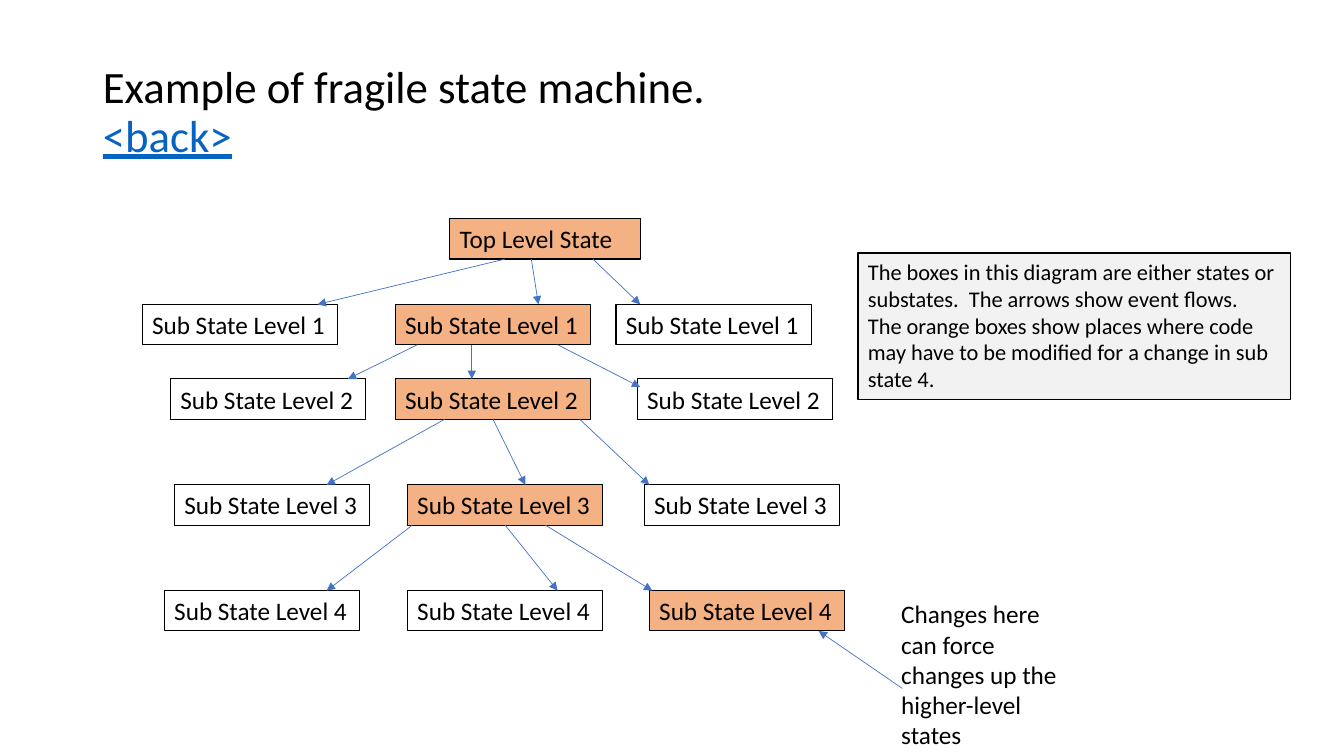
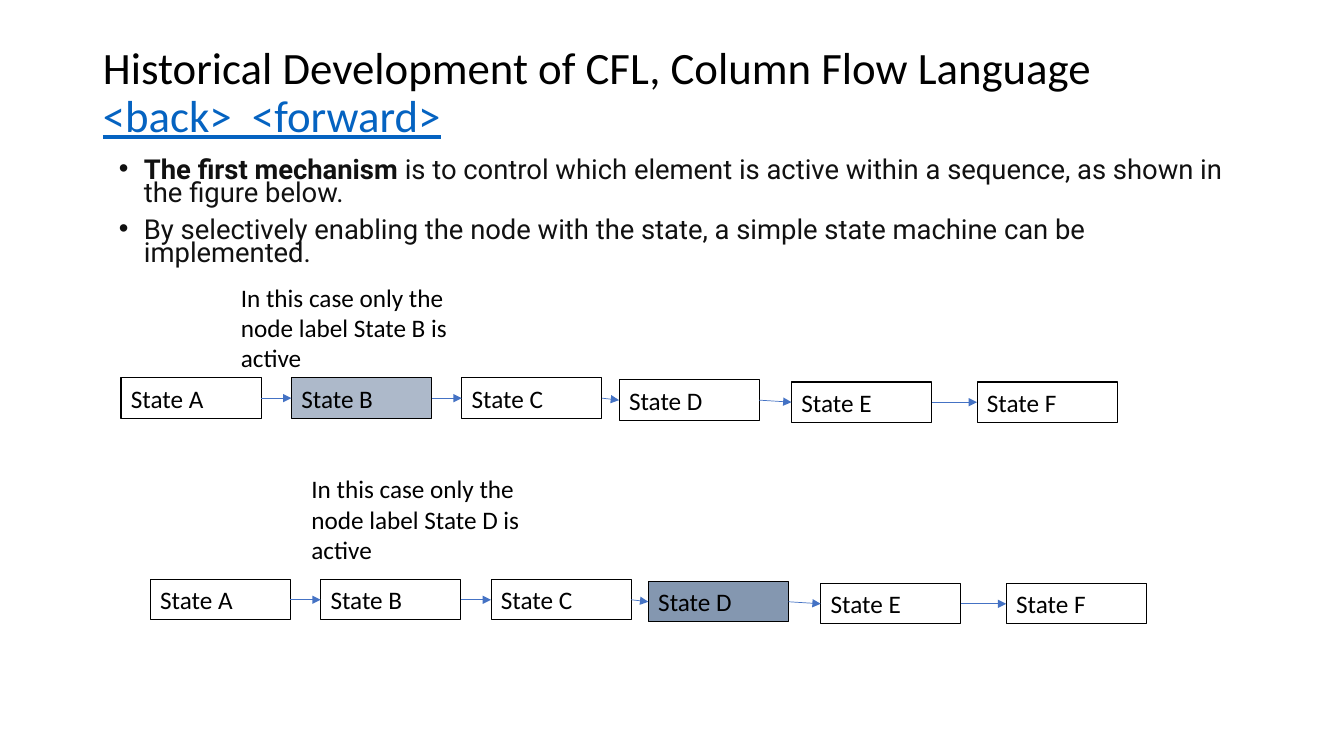
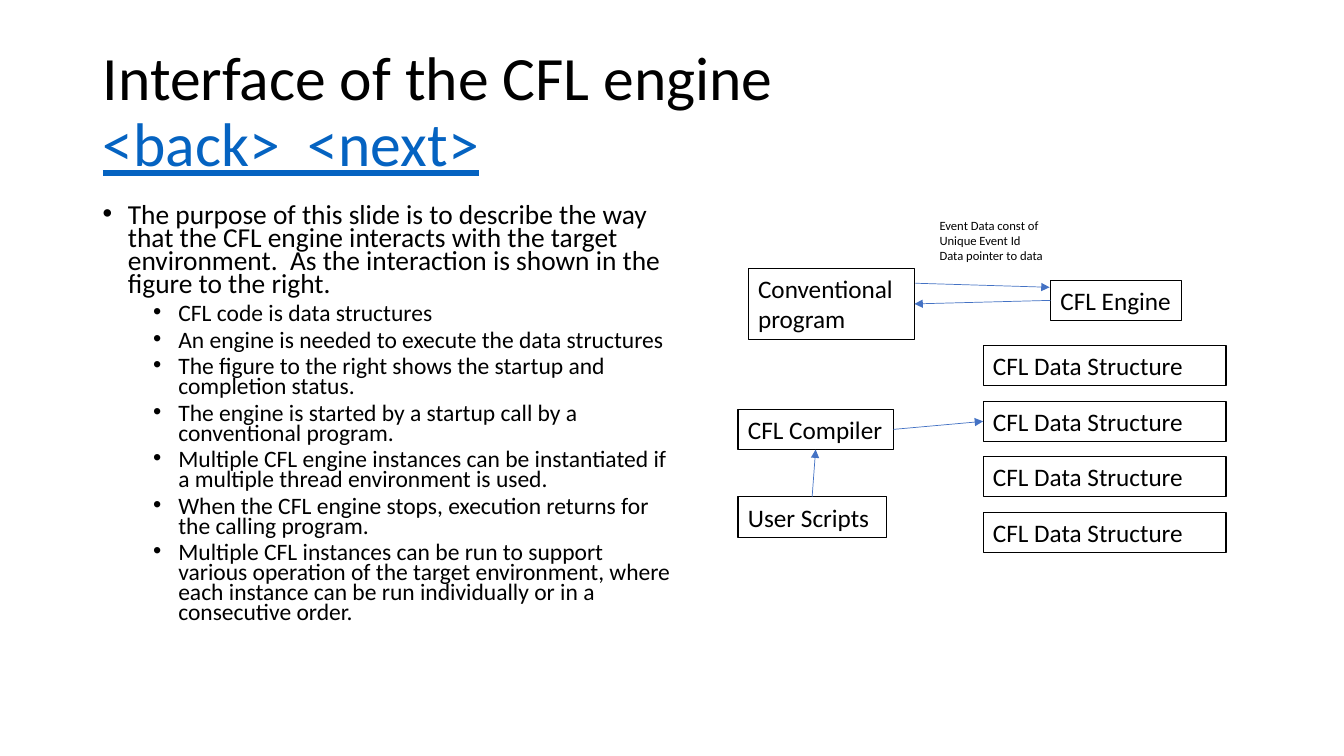
from lxml import etree
from pptx import Presentation
from pptx.dml.color import RGBColor
from pptx.enum.shapes import MSO_CONNECTOR, MSO_SHAPE
from pptx.enum.text import MSO_ANCHOR, MSO_AUTO_SIZE, PP_ALIGN
from pptx.oxml.ns import qn
from pptx.util import Inches, Pt

RECTANGLE = MSO_SHAPE.RECTANGLE
STRAIGHT = MSO_CONNECTOR.STRAIGHT
LEFT = PP_ALIGN.LEFT
TOP, MIDDLE = MSO_ANCHOR.TOP, MSO_ANCHOR.MIDDLE
FIT_SHAPE, FIXED = MSO_AUTO_SIZE.SHAPE_TO_FIT_TEXT, MSO_AUTO_SIZE.NONE

BLACK = RGBColor(0x00, 0x00, 0x00)
INK = RGBColor(0x11, 0x11, 0x11)
LINK_BLUE = RGBColor(0x05, 0x63, 0xC1)
ARROW_BLUE = RGBColor(0x44, 0x72, 0xC4)
ORANGE = RGBColor(0xF4, 0xB1, 0x83)
LIGHT_GREY = RGBColor(0xF2, 0xF2, 0xF2)
PALE_SLATE = RGBColor(0xAD, 0xB9, 0xCA)
SLATE = RGBColor(0x84, 0x97, 0xB0)

FONT = "Calibri"
BOX_HEIGHT = 0.4
SIDE_TOP, SIDE_LEFT, SIDE_BOTTOM, SIDE_RIGHT = range(4)


def add_text(slide, text, at, size=18, font=FONT, color=BLACK, lead="",
             boxed=False, fill=None, wrap=True, fit=FIT_SHAPE):
    """Add one paragraph per line of text, the first opening with a bold lead."""
    place = [Inches(length) for length in at]
    if boxed:
        shape = slide.shapes.add_shape(RECTANGLE, *place)
        shape.shadow.inherit = False
        shape.line.color.rgb = BLACK
        shape.line.width = Pt(0.75)
        if fill is None:
            shape.fill.background()
        else:
            shape.fill.solid()
            shape.fill.fore_color.rgb = fill
    else:
        shape = slide.shapes.add_textbox(*place)
    frame = shape.text_frame
    frame.word_wrap = wrap
    frame.auto_size = fit
    frame.vertical_anchor = TOP
    for number, line in enumerate(text.split("\n")):
        paragraph = frame.add_paragraph() if number else frame.paragraphs[0]
        paragraph.alignment = LEFT
        if lead and number == 0:
            paragraph.add_run().text = lead
            paragraph.runs[0].font.bold = True
        paragraph.add_run().text = line
        for run in paragraph.runs:
            run.font.size = Pt(size)
            run.font.name = font
            run.font.color.rgb = color
    return shape


def add_arrow(slide, start, end):
    """Draw an arrow; each end is an (x, y) point or a (box, side) joint."""
    joints = [not isinstance(place[0], (int, float)) for place in (start, end)]
    points = [(0, 0) if joint else place
              for joint, place in zip(joints, (start, end))]
    arrow = slide.shapes.add_connector(
        STRAIGHT, *[Inches(length) for point in points for length in point])
    if joints[0]:
        arrow.begin_connect(*start)
    if joints[1]:
        arrow.end_connect(*end)
    arrow.line.color.rgb = ARROW_BLUE
    arrow.line.width = Pt(0.5)
    etree.SubElement(arrow.line._get_or_add_ln(), qn("a:tailEnd"), type="triangle")
    etree.SubElement(arrow._element.spPr, qn("a:effectLst"))


prs = Presentation()
prs.slide_width = Inches(13.33)
prs.slide_height = Inches(7.5)

# Slides with their titles
headings = [
    ("Example of fragile state machine.", "<back>", 32, 1.45),
    ("Historical Development of CFL, Column Flow Language",
     "<back>  <forward>", 32, 1.06),
    ("Interface of the CFL engine", "<back>  <next>", 44, 1.45),
]
slides = []
for heading, navigation, size, height in headings:
    slide = prs.slides.add_slide(prs.slide_layouts[5])
    title = slide.shapes.title
    title.left, title.top = Inches(0.92), Inches(0.4)
    title.width, title.height = Inches(11.5), Inches(height)
    title.text_frame.vertical_anchor = MIDDLE
    title.text_frame.auto_size = FIXED
    paragraph = title.text_frame.paragraphs[0]
    paragraph.alignment = LEFT
    paragraph.line_spacing = 0.9
    paragraph.add_run().text = heading
    paragraph.add_line_break()
    paragraph.add_run().text = navigation
    for run, color in zip(paragraph.runs, (BLACK, LINK_BLUE)):
        run.font.size = Pt(size)
        run.font.name = FONT
        run.font.color.rgb = color
    paragraph.runs[1].font.underline = True
    slides.append(slide)
fragile, history, interface = slides

# Fragile state machine: the parent of each level is the orange box above it
parent = add_text(fragile, "Top Level State", (4.46, 2.17, 1.89, BOX_HEIGHT),
                  boxed=True, fill=ORANGE)
parent_bottom = 2.17 + BOX_HEIGHT

# Per level: top, lefts, orange box, arrows as (from x, to x, depth into the box);
# a from x of None is the middle of the parent
levels = [
    (3.02, (1.41, 3.92, 6.11), 1,
     ((5.01, 3.15, 0), (5.27, 5.34, 0), (5.88, 6.35, 0))),
    (3.76, (1.69, 3.92, 6.32), 1,
     ((4.14, 3.45, 0), (4.68, 4.68, 0), (5.53, 6.35, 0.08))),
    (4.81, (1.73, 4.04, 6.39), 1,
     ((4.41, 3.24, 0), (None, 5.21, 0), (5.75, 6.44, 0))),
    (5.86, (1.63, 4.04, 6.44), 2,
     ((4.09, 3.24, 0), (None, 5.53, 0), (5.41, 6.47, 0))),
]
for level, (top, lefts, orange, arrows) in enumerate(levels, 1):
    substates = [
        add_text(fragile, f"Sub State Level {level}", (left, top, 1.94, BOX_HEIGHT),
                 boxed=True, wrap=False, fill=ORANGE if column == orange else None)
        for column, left in enumerate(lefts)
    ]
    for from_x, to_x, depth in arrows:
        start = (parent, SIDE_BOTTOM) if from_x is None else (from_x, parent_bottom)
        add_arrow(fragile, start, (to_x, top + depth))
    parent, parent_bottom = substates[orange], top + BOX_HEIGHT

add_text(fragile, "Changes here can force changes up the higher-level states",
         (8.84, 5.89, 1.98, 1.62))
add_arrow(fragile, (8.95, 6.83), (8.12, 6.26))
add_text(fragile,
         "The boxes in this diagram are either states or substates.  "
         "The arrows show event flows.\n"
         "The orange boxes show places where code may have to be modified "
         "for a change in sub state 4.",
         (8.51, 2.51, 4.29, 1.45), size=16, boxed=True, fill=LIGHT_GREY)

# Historical development: two chains, each with one active state
state_offsets = [(0, 0), (1.69, 0), (3.38, 0), (4.94, 0.02), (6.65, 0.04), (8.49, 0.04)]
chains = [
    (1.2, 3.75, "B", PALE_SLATE, (2.29, 2.75)),
    (1.49, 5.75, "D", SLATE, (2.99, 4.65)),
]
for chain_left, chain_top, active, active_color, caption_at in chains:
    add_text(history, f"In this case only the node label State {active} is active",
             (*caption_at, 2.58, 1.01))
    previous = None
    for letter, (across, down) in zip("ABCDEF", state_offsets):
        state = add_text(history, f"State {letter}",
                         (chain_left + across, chain_top + down, 1.39, BOX_HEIGHT),
                         boxed=True, fill=active_color if letter == active else None)
        if previous is not None:
            add_arrow(history, (previous, SIDE_RIGHT), (state, SIDE_LEFT))
        previous = state

mechanism = add_text(
    history,
    "is to control which element is active within a sequence, "
    "as shown in the figure below.\n"
    "By selectively enabling the node with the state, "
    "a simple state machine can be implemented.",
    (1.08, 1.55, 11.5, 1.27), size=19.6, font="Roboto", color=INK,
    lead="The first mechanism ", fit=FIXED)

# Interface of the engine
purpose = add_text(
    interface,
    "The purpose of this slide is to describe the way that the CFL engine interacts "
    "with the target environment.  As the interaction is shown in the figure "
    "to the right.\n"
    "CFL code is data structures\n"
    "An engine is needed to execute the data structures\n"
    "The figure to the right shows the startup and completion status.\n"
    "The engine is started by a startup call by a conventional program.\n"
    "Multiple CFL engine instances can be instantiated if a multiple thread "
    "environment is used.\n"
    "When the CFL engine stops, execution returns for the calling program.\n"
    "Multiple CFL instances can be run to support various operation of the target "
    "environment, where each instance can be run individually or in a "
    "consecutive order.",
    (0.92, 2, 5.85, 4.76), size=19.6, fit=FIXED)
for paragraph in purpose.text_frame.paragraphs[1:]:
    paragraph.level = 1
    paragraph.runs[0].font.size = Pt(16.8)

for body in (mechanism, purpose):
    for paragraph in body.text_frame.paragraphs:
        paragraph.line_spacing = 0.7
        paragraph.space_before = Pt(5 if paragraph.level else 10)
        properties = paragraph._p.get_or_add_pPr()
        properties.set("marL", str(Inches(0.75 if paragraph.level else 0.25)))
        properties.set("indent", str(Inches(-0.25)))
        etree.SubElement(properties, qn("a:buFont"), typeface="Arial")
        etree.SubElement(properties, qn("a:buChar"), char="•")

program = add_text(interface, "Conventional program", (7.42, 2.66, 1.65, 0.71), boxed=True)
engine = add_text(interface, "CFL Engine", (10.42, 2.78, 1.3, BOX_HEIGHT), boxed=True)
compiler = add_text(interface, "CFL Compiler", (7.32, 4.06, 1.54, BOX_HEIGHT), boxed=True)
scripts = add_text(interface, "User Scripts", (7.32, 4.93, 1.47, BOX_HEIGHT), boxed=True)
structures = [
    add_text(interface, "CFL Data Structure",
             (9.75, 3.43 + 0.55 * row, 2.41, BOX_HEIGHT), boxed=True)
    for row in range(4)
]
add_arrow(interface, (scripts, SIDE_TOP), (compiler, SIDE_BOTTOM))
add_arrow(interface, (compiler, SIDE_RIGHT), (structures[1], SIDE_LEFT))
add_arrow(interface, (9.08, 2.81), (10.41, 2.85))
add_arrow(interface, (engine, SIDE_LEFT), (program, SIDE_RIGHT))
add_text(interface, "Event Data const of\nUnique Event Id\nData pointer to data",
         (9.22, 2.11, 1.42, 0.56), size=9)

prs.save("out.pptx")
